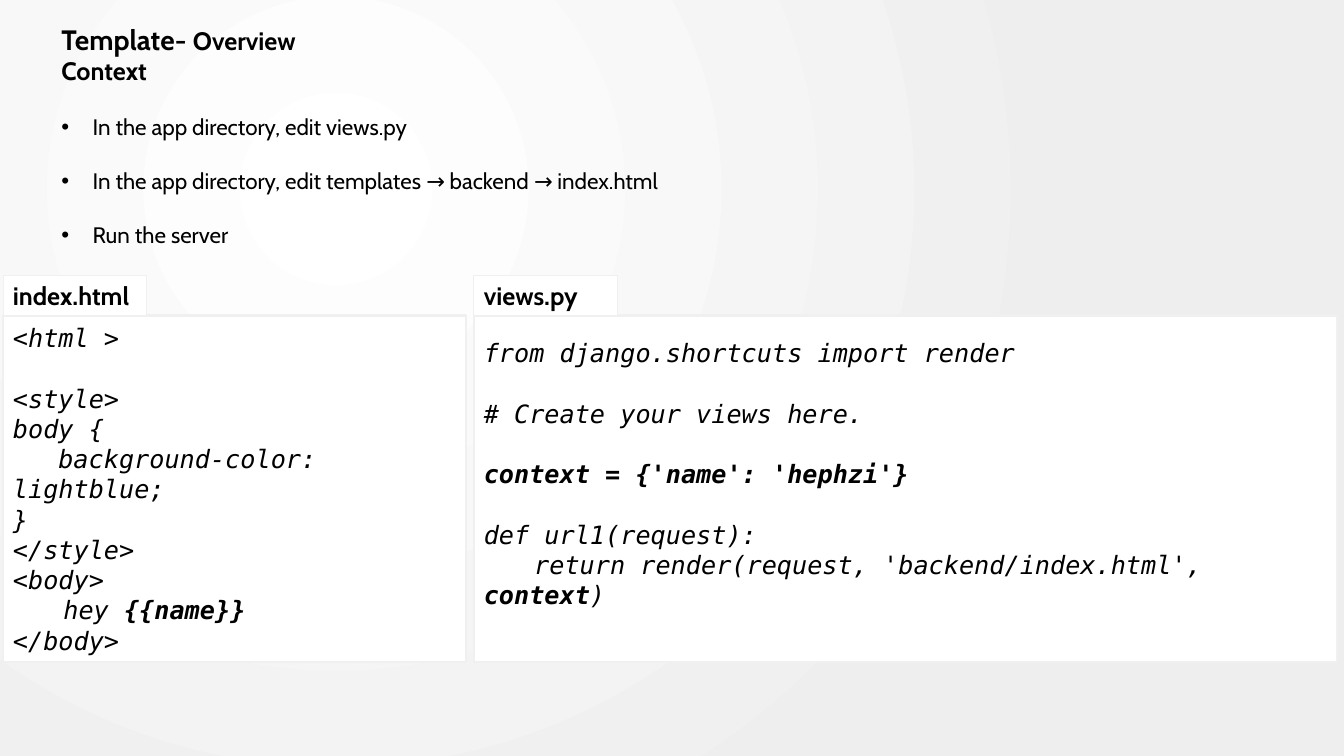
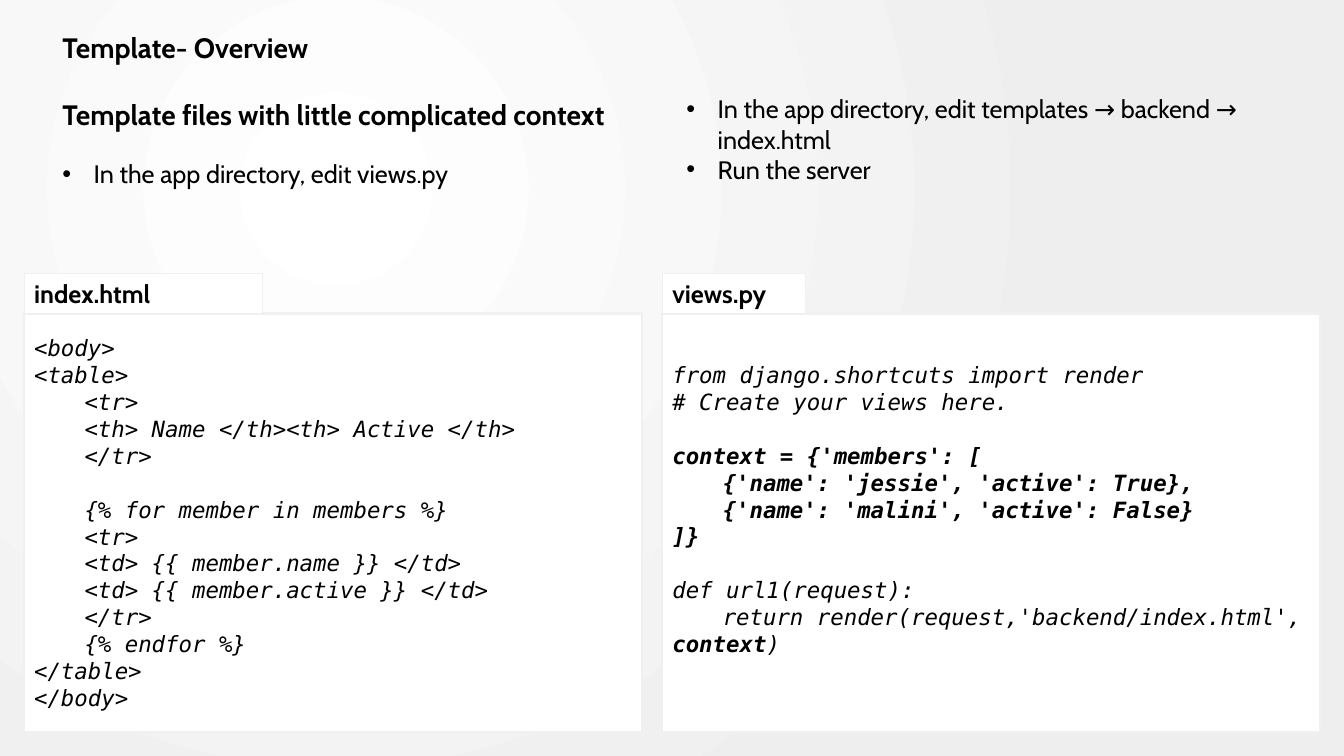
from lxml import etree
from pptx import Presentation
from pptx.dml.color import RGBColor
from pptx.enum.shapes import MSO_SHAPE
from pptx.enum.text import MSO_ANCHOR, PP_ALIGN
from pptx.oxml.ns import qn
from pptx.util import Inches, Pt

INK, PAPER, EDGE, SHADE = "000000", "FFFFFF", "F0F0F0", "EEEEEE"
HEADING_FONT, CODE_FONT = "Cabin", "DejaVu Sans Mono"
TAB_HEIGHT, INSET, BULLET_INDENT = 0.4, 0.05, 0.31
LINE_PITCH, SPACE_WIDTH = 1.2, 0.6

CONTEXT_HTML = [
    "<html >", "", "<style>", "body {", "   background-color: lightblue;", "}",
    "</style>", "<body>", "\they |{{name}}|", "</body>",
]
CONTEXT_VIEWS = [
    "from django.shortcuts import render", "", "# Create your views here.", "",
    "|context = {'name': 'hephzi'}|", "", "def url1(request):",
    "\treturn render(request, 'backend/index.html', |context|)", "",
]
MEMBERS_HTML = [
    "<body>", "<table>", "\t<tr>", "\t<th> Name </th><th> Active </th>", "\t</tr>", "",
    "\t{% for member in members %}", "\t<tr>", "\t<td> {{ member.name }} </td>",
    "\t<td> {{ member.active }} </td>", "\t</tr>", "\t{% endfor %}", "</table>", "</body>",
]
MEMBERS_VIEWS = [
    "from django.shortcuts import render", "# Create your views here.", "",
    "|context = {'members': [|", "|\t{'name': 'jessie', 'active': True},|",
    "|\t{'name': 'malini', 'active': False}|", "|]}|", "", "def url1(request):",
    "\treturn render(request,'backend/index.html', |context|)", "",
]
EDIT_VIEWS = "In the app directory, edit views.py"
EDIT_INDEX = "In the app directory, edit templates → backend → index.html"
RUN_SERVER = "Run the server"

SLIDES = [
    {
        "outlines": [
            {"box": (0.51, -0.1, 12.32, 2.63), "inset": 0.32,
             "titles": [([("Template- ", 20), ("Overview", 18)], 0), ([("Context", 18)], 0)],
             "bullets": [(EDIT_VIEWS, 19.4), (EDIT_INDEX, 19.4), (RUN_SERVER, 19.4)],
             "size": 16},
        ],
        "top": 2.73, "height": 3.44, "code_size": 18,
        "panels": [("index.html", 0.03, 4.59, 1.42, CONTEXT_HTML),
                   ("views.py", 4.7, 8.56, 1.42, CONTEXT_VIEWS)],
    },
    {
        "outlines": [
            {"box": (0.52, -0.02, 6.38, 2.2), "inset": 0.32,
             "titles": [([("Template- Overview", 20)], 0),
                        ([("Template files with little complicated context", 20)], 24)],
             "bullets": [(EDIT_VIEWS, 19.4)], "size": 18},
            {"box": (6.71, 0.88, 6.38, 1.1), "inset": INSET, "titles": [],
             "bullets": [(EDIT_INDEX, 0), (RUN_SERVER, 0)], "size": 18},
        ],
        "top": 2.71, "height": 4.15, "code_size": 16,
        "panels": [("index.html", 0.24, 6.13, 2.36, MEMBERS_HTML),
                   ("views.py", 6.57, 6.52, 1.42, MEMBERS_VIEWS)],
    },
]


def colour(code):
    return RGBColor.from_string(code)


def paint_background(master):
    fill = master.background.fill
    fill.gradient()
    for stop, code, position in zip(fill.gradient_stops, (PAPER, SHADE), (0, 1)):
        stop.color.rgb = colour(code)
        stop.position = position
    gradient = next(master.element.iter(qn("a:gradFill")))
    gradient.remove(gradient.find(qn("a:lin")))
    circle = etree.SubElement(gradient, qn("a:path"), path="circle")
    etree.SubElement(circle, qn("a:fillToRect"), l="50000", t="50000", r="100000", b="100000")


def add_run(paragraph, text, size, font, bold=False, italic=False):
    run = paragraph.add_run()
    run.text = text
    run.font.name, run.font.size = font, Pt(size)
    run.font.bold, run.font.italic = bold, italic
    run.font.color.rgb = colour(INK)


def paragraphs(frame):
    yield frame.paragraphs[0]
    while True:
        yield frame.add_paragraph()


def add_bullet(paragraph):
    properties = paragraph._p.get_or_add_pPr()
    properties.set("marL", str(Inches(BULLET_INDENT)))
    properties.set("indent", str(-Inches(BULLET_INDENT)))
    etree.SubElement(properties, qn("a:buFont"), typeface="Arial")
    etree.SubElement(properties, qn("a:buChar"), char="•")


def add_outline(slide, outline):
    frame = slide.shapes.add_textbox(*map(Inches, outline["box"])).text_frame
    frame.word_wrap = True
    frame.margin_top = Inches(outline["inset"])
    lines = [(runs, gap, True) for runs, gap in outline["titles"]]
    lines += [([(text, outline["size"])], gap, False) for text, gap in outline["bullets"]]
    for (runs, gap, is_title), paragraph in zip(lines, paragraphs(frame)):
        paragraph.space_before = Pt(gap)
        if not is_title:
            add_bullet(paragraph)
        for text, size in runs:
            add_run(paragraph, text, size, HEADING_FONT, bold=is_title)


def add_card(slide, box, edge_width):
    card = slide.shapes.add_shape(MSO_SHAPE.RECTANGLE, *map(Inches, box))
    card.shadow.inherit = False
    card.fill.solid()
    card.fill.fore_color.rgb = colour(PAPER)
    card.line.color.rgb = colour(EDGE)
    card.line.width = Pt(edge_width)
    card.text_frame.word_wrap = True
    return card.text_frame


def write_code(frame, code, size):
    frame.vertical_anchor = MSO_ANCHOR.MIDDLE
    blank = size * LINE_PITCH
    if not code[-1]:
        frame.margin_bottom = Inches(INSET) + Pt(blank)
    gap = 0
    supply = paragraphs(frame)
    for line in code:
        if not line:
            gap += blank
            continue
        paragraph = next(supply)
        paragraph.alignment = PP_ALIGN.LEFT
        paragraph.space_before = Pt(gap)
        gap = 0
        text = line.lstrip(" ")
        indent = (len(line) - len(text)) * size * SPACE_WIDTH
        paragraph._p.get_or_add_pPr().set("indent", str(Pt(indent)))
        for index, part in enumerate(text.split("|")):
            if part:
                add_run(paragraph, part, size, CODE_FONT, bold=index % 2 == 1, italic=True)


def add_panel(slide, content, panel):
    file_name, left, width, tab_width, code = panel
    top = content["top"]
    code_frame = add_card(slide, (left, top + TAB_HEIGHT, width, content["height"]), 1.5)
    write_code(code_frame, code, content["code_size"])
    tab_frame = add_card(slide, (left, top, tab_width, TAB_HEIGHT), 0.75)
    tab_frame.vertical_anchor = MSO_ANCHOR.TOP
    tab_frame.paragraphs[0].alignment = PP_ALIGN.LEFT
    add_run(tab_frame.paragraphs[0], file_name, 18, HEADING_FONT, bold=True)


deck = Presentation()
deck.slide_width, deck.slide_height = Inches(13.33), Inches(7.5)
paint_background(deck.slide_master)
for content in SLIDES:
    slide = deck.slides.add_slide(deck.slide_layouts[6])
    for outline in content["outlines"]:
        add_outline(slide, outline)
    for panel in content["panels"]:
        add_panel(slide, content, panel)
deck.save("out.pptx")
